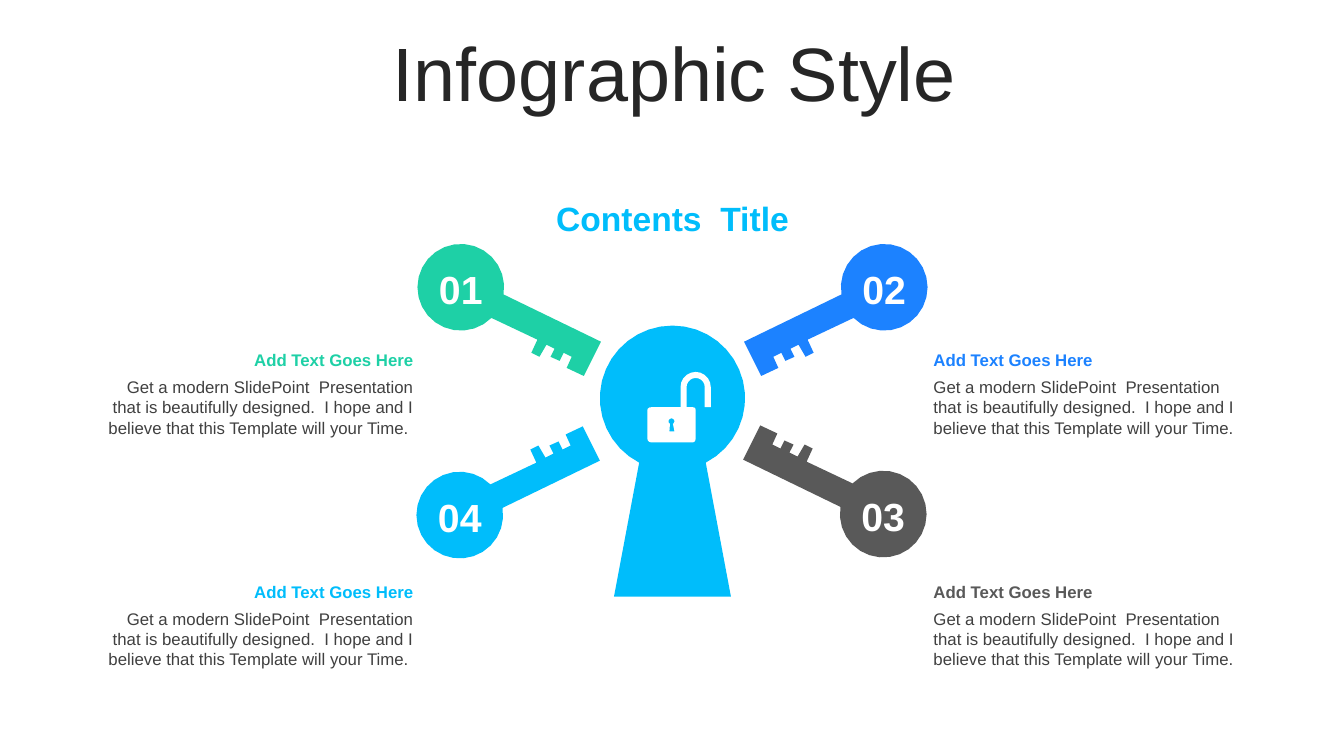
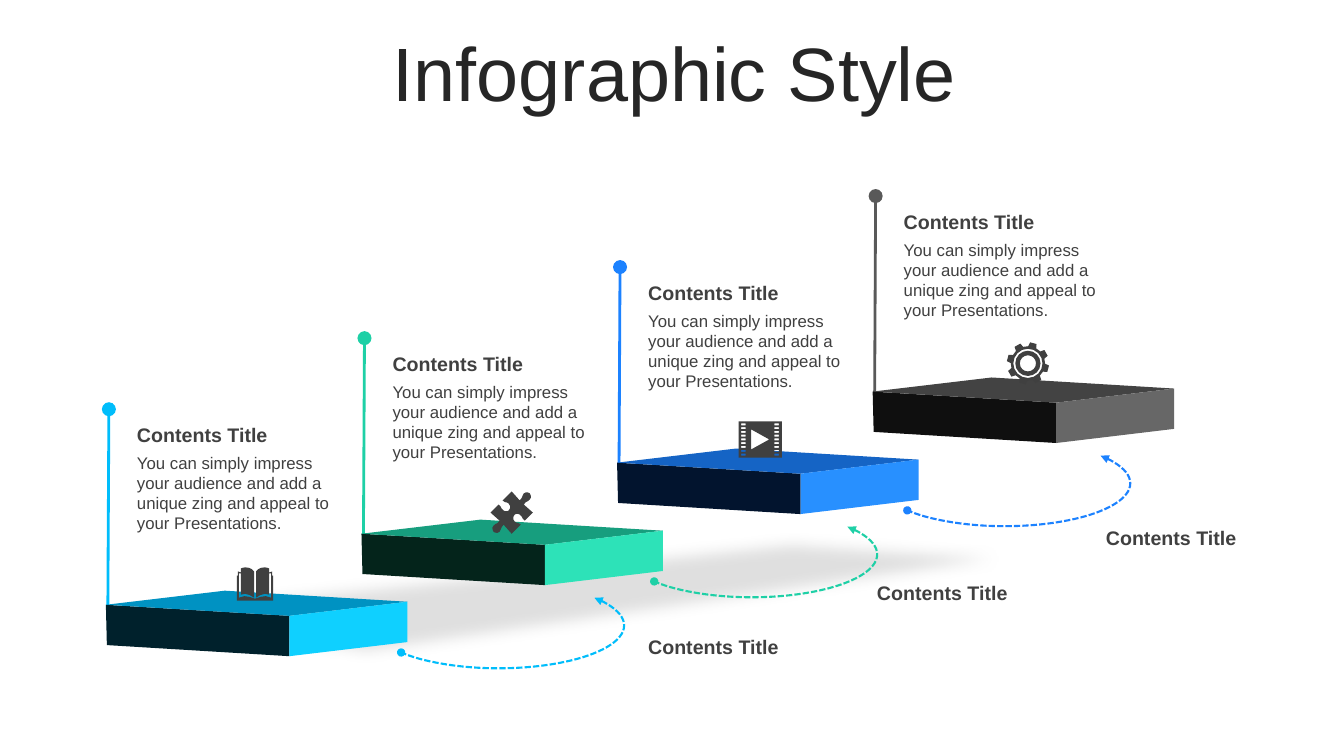
from math import cos, radians, sin

from lxml.etree import SubElement
from pptx import Presentation
from pptx.dml.color import RGBColor
from pptx.enum.dml import MSO_LINE
from pptx.enum.shapes import MSO_CONNECTOR, MSO_SHAPE
from pptx.enum.text import MSO_ANCHOR, PP_ALIGN
from pptx.oxml.ns import qn
from pptx.util import Inches, Pt

LEFT, CENTER, RIGHT = PP_ALIGN.LEFT, PP_ALIGN.CENTER, PP_ALIGN.RIGHT
TOP, MIDDLE = MSO_ANCHOR.TOP, MSO_ANCHOR.MIDDLE
ARC, STRAIGHT, DASH = MSO_SHAPE.ARC, MSO_CONNECTOR.STRAIGHT, MSO_LINE.SQUARE_DOT

CYAN = RGBColor(0x00, 0xBD, 0xFB)
GREEN = RGBColor(0x1E, 0xD0, 0xA6)
BLUE = RGBColor(0x1C, 0x82, 0xFF)
GRAY = RGBColor(0x59, 0x59, 0x59)
TEXT = RGBColor(0x40, 0x40, 0x40)
INK = RGBColor(0x26, 0x26, 0x26)
WHITE = RGBColor(0xFF, 0xFF, 0xFF)
SHADE = RGBColor(0x80, 0x80, 0x80)

# Slab faces: front, top, side
SLABS = {
    CYAN: (RGBColor(0x00, 0x21, 0x2C), RGBColor(0x00, 0x92, 0xC2), RGBColor(0x0F, 0xD0, 0xFF)),
    GREEN: (RGBColor(0x04, 0x24, 0x1B), RGBColor(0x17, 0x9E, 0x7E), RGBColor(0x2D, 0xE2, 0xB8)),
    BLUE: (RGBColor(0x02, 0x14, 0x2E), RGBColor(0x15, 0x64, 0xC5), RGBColor(0x28, 0x90, 0xFF)),
    GRAY: (RGBColor(0x0F, 0x0F, 0x0F), RGBColor(0x43, 0x43, 0x43), RGBColor(0x67, 0x67, 0x67)),
}
FONT = "Arial"
KEY_NOTE = ("Get a modern SlidePoint  Presentation that is beautifully designed.  "
            "I hope and I believe that this Template will your Time.")
STEP_NOTE = ("You can simply impress your audience and add a unique zing "
             "and appeal to your Presentations.")


# Outlines
def ring(x, y, r, start=0, end=360, n=16):
    """Points on a circular arc, angles in degrees."""
    turns = [radians(start + (end - start) * i / n) for i in range(n + 1)]
    return [(x + r * cos(a), y + r * sin(a)) for a in turns]


def trace(parts, n=3):
    """Points of a line of corners (x, y) and curves (six numbers)."""
    pts = []
    for part in parts:
        if len(part) == 2:
            pts.append(part)
            continue
        (ax, ay), (bx, by, cx, cy, dx, dy) = pts[-1], part
        for t in (i / n for i in range(1, n + 1)):
            u = 1 - t
            wts = (u ** 3, 3 * u * u * t, 3 * u * t * t, t ** 3)
            pts.append((sum(w * v for w, v in zip(wts, (ax, bx, cx, dx))),
                        sum(w * v for w, v in zip(wts, (ay, by, cy, dy)))))
    return pts


def flip(pts, sx, sy):
    return [(sx * x, sy * y) for x, y in pts]


def block(x, y, w, h):
    return [(x, y), (x + w, y), (x + w, y + h), (x, y + h)]


# Shared parts
def paint(shape, color):
    shape.shadow.inherit = False
    shape.fill.solid()
    shape.fill.fore_color.rgb = color
    shape.line.fill.background()
    return shape


def draw(slide, x, y, loops, color):
    """One filled outline; loops are given relative to (x, y)."""
    loops = [[(Inches(x + px), Inches(y + py)) for px, py in pts] for pts in loops]
    pen = slide.shapes.build_freeform(*loops[0][0], scale=1.0)
    for i, pts in enumerate(loops):
        if i:
            pen.move_to(*pts[0])
        pen.add_line_segments(pts[1:], close=True)
    return paint(pen.convert_to_shape(), color)


def style(frame, words, size, color, bold=False, align=LEFT, anchor=TOP):
    frame.word_wrap = True
    frame.vertical_anchor = anchor
    para = frame.paragraphs[0]
    para.text = words
    para.alignment = align
    font = para.font
    font.name, font.size, font.bold = FONT, Pt(size), bold
    font.color.rgb = color
    return para


def write(slide, x, y, w, h, *look, **more):
    box = slide.shapes.add_textbox(*(Inches(v) for v in (x, y, w, h)))
    style(box.text_frame, *look, **more)


def ends(line, size="med", **kinds):
    ln = line.line._get_or_add_ln()
    for end, kind in kinds.items():
        SubElement(ln, qn("a:" + end), type=kind, w=size, len=size)


def new_slide(deck, words):
    slide = deck.slides.add_slide(deck.slide_layouts[5])
    title = slide.shapes.title
    title.left, title.top = Inches(0.36), Inches(0.37)
    title.width, title.height = Inches(12.66), Inches(0.79)
    style(title.text_frame, words, 54, INK, align=CENTER, anchor=MIDDLE).line_spacing = 0.9
    return slide


# Keys slide
def key(slide, x, y, sx, sy, color):
    """Key with its bow centred on (x, y); sx and sy mirror it."""
    shaft = [(-1.39, 0.54), (-1.22, 0.88), (-1.05, 0.8), (-1.1, 0.69), (-1.02, 0.65),
             (-0.98, 0.73), (-0.89, 0.69), (-0.93, 0.61), (-0.85, 0.57),
             (-0.78, 0.69), (-0.7, 0.65), (-0.76, 0.52)]
    bow = ring(0, 0, 0.43, 495, 170.5, 24)
    draw(slide, x, y, [flip(shaft + bow, sx, sy)], color)


def keyhole(slide, x, y):
    """Keyhole with its round part centred on (x, y)."""
    head = ring(0, 0, 0.72, 62.7, -242.7, 32)
    draw(slide, x, y, [head + [(-0.58, 1.97), (0.58, 1.97)]], CYAN)


def padlock(slide, x, y):
    """Open padlock; (x, y) is the top left of its box."""
    bar = (ring(0.48, 0.15, 0.15, 180, 360, 10) + [(0.63, 0.35), (0.57, 0.35)]
           + ring(0.48, 0.15, 0.09, 360, 180, 10))
    body = trace([(0.39, 0.35), (0.45, 0.35), (0.47, 0.35, 0.48, 0.36, 0.48, 0.38),
                  (0.48, 0.66), (0.48, 0.68, 0.47, 0.7, 0.45, 0.7), (0.04, 0.7),
                  (0.02, 0.7, 0, 0.68, 0, 0.66), (0, 0.38),
                  (0, 0.36, 0.02, 0.35, 0.04, 0.35), (0.33, 0.35)])
    hole = ring(0.24, 0.49, 0.03, 120, 420, 8) + [(0.27, 0.59), (0.22, 0.59)]
    draw(slide, x, y, [bar + body, hole], WHITE)


def note(slide, x, y, w, color, align):
    words = KEY_NOTE + (" " if align == RIGHT else "")
    write(slide, x, y + 0.27, w, 0.71, words, 12, TEXT, align=align)
    write(slide, x, y, w, 0.3, "Add Text Goes Here", 12, color,
          bold=True, align=align, anchor=MIDDLE)


def keys_slide(deck):
    slide = new_slide(deck, "Infographic Style")
    keyhole(slide, 6.67, 3.95)
    for x, y, sx, sy, label, color in (
            (4.57, 2.85, -1, 1, "01", GREEN), (8.77, 2.85, 1, 1, "02", BLUE),
            (8.76, 5.1, 1, -1, "03", GRAY), (4.56, 5.11, -1, -1, "04", CYAN)):
        key(slide, x, y, sx, sy, color)
        write(slide, x - 0.37, y - 0.27, 0.74, 0.57, label, 28, WHITE,
              bold=True, align=CENTER, anchor=MIDDLE)
        left, width, align = (9.16, 3.25, LEFT) if sx > 0 else (0.9, 3.3, RIGHT)
        note(slide, left, 3.42 if sy > 0 else 5.72, width, color, align)
    write(slide, 5.19, 1.91, 2.96, 0.5, "Contents  Title", 24, CYAN,
          bold=True, align=CENTER, anchor=MIDDLE)
    padlock(slide, 6.42, 3.69)


# Icons, as loops around their centre
def book():
    half = trace([
        (0, 0.16), (-0.18, 0.16), (-0.18, -0.09), (-0.17, -0.09), (-0.17, -0.13),
        (-0.14, -0.12), (-0.14, -0.16), (-0.12, -0.17, -0.1, -0.17, -0.09, -0.17),
        (-0.06, -0.17, -0.03, -0.16, -0.01, -0.13), (-0.01, 0.13),
        (-0.05, 0.1, -0.1, 0.08, -0.14, 0.1), (-0.14, -0.11), (-0.16, -0.11),
        (-0.16, 0.13), (-0.1, 0.1, -0.06, 0.12, 0, 0.14)])
    return [half, flip(half, -1, 1)]


def puzzle():
    half = trace([
        (0.21, 0), (0.13, 0.08), (0.1, 0.06, 0.11, 0.04, 0.08, 0.02),
        (0.07, 0.01, 0.04, 0.01, 0.03, 0.02), (0.01, 0.04, 0.01, 0.07, 0.03, 0.09),
        (0.05, 0.11, 0.06, 0.09, 0.09, 0.12), (0, 0.21), (-0.08, 0.12),
        (-0.11, 0.15, -0.1, 0.16, -0.12, 0.19), (-0.14, 0.21, -0.17, 0.2, -0.18, 0.19),
        (-0.19, 0.17, -0.2, 0.15, -0.18, 0.13), (-0.16, 0.1, -0.14, 0.12, -0.12, 0.08)])
    return [half + flip(half, -1, -1)]


def film():
    holes = [block(x, -0.16 + 0.0375 * row, 0.045, 0.02)
             for row in range(9) for x in (-0.19, 0.14)]
    return [block(-0.215, -0.18, 0.43, 0.36), [(-0.09, -0.1), (-0.09, 0.1), (0.09, 0)]] + holes


def gear():
    rim = []
    for tooth in range(8):
        mid = 45 * tooth - 75
        for r, turn in ((0.17, -14), (0.21, -9), (0.21, 9), (0.17, 14)):
            a = radians(mid + turn)
            rim.append((r * cos(a), r * sin(a)))
    return [rim] + [ring(0, 0, r) for r in (0.145, 0.125, 0.08)]


# Steps slide
def slab(slide, x, y, color):
    """Slab whose front top left corner is (x, y)."""
    west, south, east, north = (0, 0), (1.82, 0.11), (2.99, -0.03), (1.18, -0.14)
    faces = ([west, south, (1.82, 0.51), (0.01, 0.4)],
             [west, north, east, south],
             [south, east, (2.99, 0.37), (1.82, 0.51)])
    for face, tone in zip(faces, SLABS[color]):
        draw(slide, x, y, [face], tone)


def pole(slide, x, y, color):
    line = slide.shapes.add_connector(
        STRAIGHT, *(Inches(v) for v in (x, y, x + 0.01, y - 1.96)))
    line.line.color.rgb = color
    line.line.width = Pt(2)
    SubElement(line._element.spPr, qn("a:effectLst"))
    ends(line, "lg", tailEnd="oval")


def loop(slide, x, y, color):
    box = (Inches(v) for v in (x, y, 2.49, 0.85))
    arc = paint(slide.shapes.add_shape(ARC, *box), color)
    arc.fill.background()
    arc.adjustments[0], arc.adjustments[1] = 206.33, 98.7
    arc.line.color.rgb = color
    arc.line.width = Pt(1.5)
    arc.line.dash_style = DASH
    ends(arc, headEnd="triangle", tailEnd="oval")


def shadow(slide, x, y):
    pts = trace([(0, 0.79), (3.15, 1.31), (3.72, 1.4, 3.4, 1.33, 3.41, 1.32),
                 (10.9, 0.23), (7.5, 0)])
    props = draw(slide, x, y, [pts], SHADE)._element.spPr
    SubElement(props.xpath(".//a:srgbClr")[0], qn("a:alpha"), val="25000")
    SubElement(props.find(qn("a:effectLst")), qn("a:softEdge"), rad=str(Pt(10)))


def step(slide, x, y, color, icon, dx, dy):
    """Slab, caption and icon; (x, y) is the slab's front corner."""
    slab(slide, x, y, color)
    write(slide, x + 0.21, y - 1.56, 2.19, 0.91, STEP_NOTE, 12, TEXT)
    write(slide, x + 0.21, y - 1.85, 2.19, 0.34, "Contents Title", 14, TEXT, bold=True)
    draw(slide, x + dx, y + dy, icon, TEXT)


def steps_slide(deck):
    slide = new_slide(deck, "Infographic Style")
    spots = [(1.05 + 2.535 * i, 6 - 0.705 * i) for i in range(4)]
    for (x, y), color in zip(spots, SLABS):
        pole(slide, x + 0.02, y + 0.02, color)
    shadow(slide, 0.31, 5.26)
    icons = ((book(), 1.48, -0.2), (puzzle(), 1.49, -0.21),
             (film(), 1.42, -0.23), (gear(), 1.54, -0.28))
    for (x, y), color, icon in zip(spots, SLABS, icons):
        step(slide, x, y, color, *icon)
    for i, color in enumerate((CYAN, GREEN, BLUE)):
        loop(slide, 3.7 + 2.51 * i, 5.78 - 0.705 * i, color)
        write(slide, 6.33 + 2.27 * i, 6.25 - 0.54 * i, 1.5, 0.34,
              "Contents Title", 14, TEXT, bold=True)


def main():
    deck = Presentation()
    deck.slide_width, deck.slide_height = Inches(13.33), Inches(7.5)
    keys_slide(deck)
    steps_slide(deck)
    deck.save("out.pptx")


if __name__ == "__main__":
    main()
